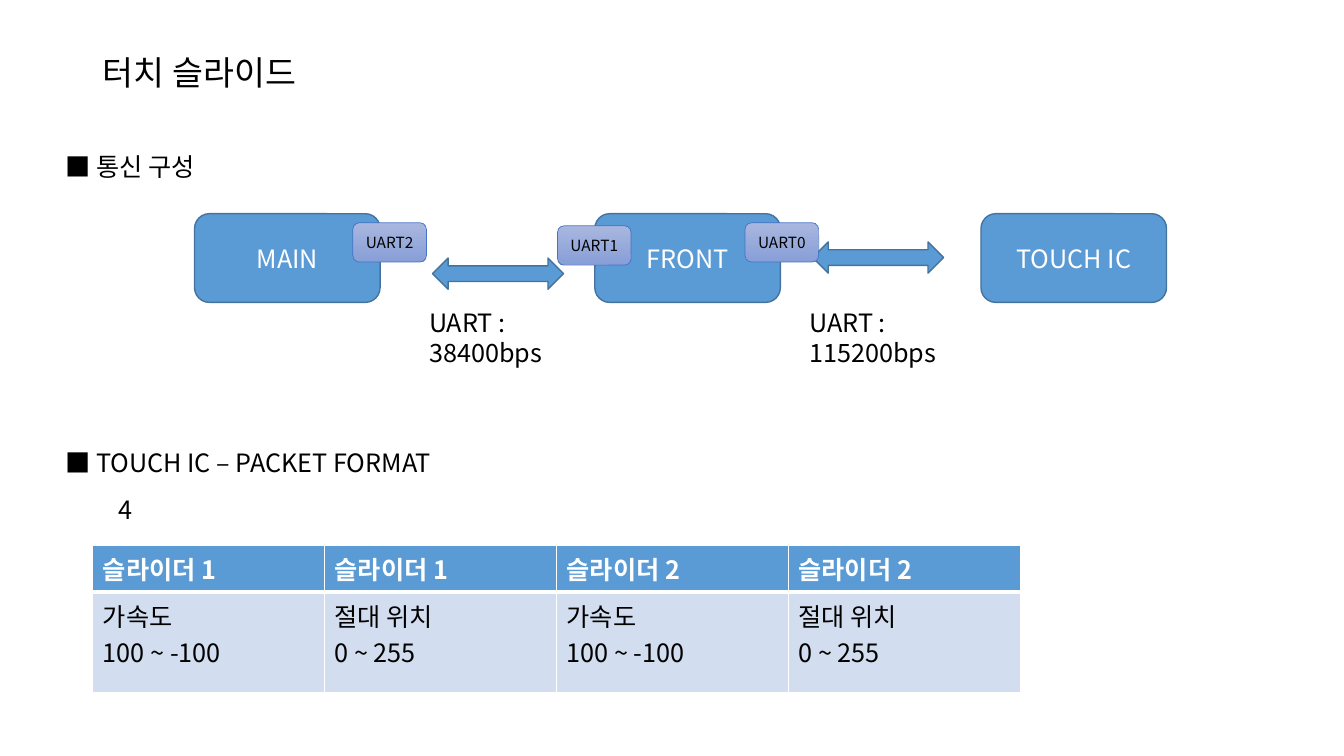
from dataclasses import dataclass

import pptx
import pptx.dml.color
import pptx.enum.shapes
import pptx.enum.text
import pptx.oxml
import pptx.oxml.ns
import pptx.util
from pptx.util import Inches

RGBColor = pptx.dml.color.RGBColor
MSO_SHAPE = pptx.enum.shapes.MSO_SHAPE
PP_ALIGN = pptx.enum.text.PP_ALIGN
MSO_ANCHOR = pptx.enum.text.MSO_ANCHOR

FONT = "Noto Sans CJK KR"
BLACK = RGBColor(0x00, 0x00, 0x00)
WHITE = RGBColor(0xFF, 0xFF, 0xFF)
BLUE = RGBColor(0x5B, 0x9B, 0xD5)
DARK_BLUE = RGBColor(0x43, 0x73, 0x9E)
BADGE_TOP = RGBColor(0xA8, 0xB7, 0xDF)
BADGE_BOTTOM = RGBColor(0x88, 0x9E, 0xD7)
BADGE_LINE = RGBColor(0x44, 0x72, 0xC4)
PALE_BLUE = RGBColor(0xD2, 0xDE, 0xEF)


@dataclass
class Label:
    text: str
    left: float
    top: float
    width: float = 4.34
    height: float = 0.4


@dataclass
class Device:
    name: str
    left: float


@dataclass
class Link:
    left: float
    top: float


@dataclass
class Port:
    name: str
    left: float
    top: float


@dataclass
class Field:
    slider: str
    meaning: str
    value_range: str


DEVICES = [Device("MAIN", 1.93), Device("FRONT", 5.9), Device("TOUCH IC", 9.73)]
LINKS = [Link(4.29, 2.56), Link(8.06, 2.4)]
PORTS = [Port("UART1", 5.53, 2.24), Port("UART0", 7.39, 2.21), Port("UART2", 3.5, 2.21)]
LABELS = [
    Label("UART : 38400bps", 4.16, 3, 1.74, 0.71),
    Label("UART : 115200bps", 7.93, 3, 1.74, 0.71),
    Label("■ TOUCH IC – PACKET FORMAT", 0.55, 4.39),
    Label("■ 통신 구성", 0.55, 1.45),
    Label("4", 1.08, 4.86),
]
FIELDS = [
    Field(f"슬라이더 {number}", meaning, value_range)
    for number in (1, 2)
    for meaning, value_range in (("가속도", "100 ~ -100"), ("절대 위치", "0 ~ 255"))
]


def write(tf: pptx.text.text.TextFrame, text: str, size: float = 18,
          color: RGBColor = BLACK, align: PP_ALIGN = PP_ALIGN.LEFT, bold: bool = False) -> None:
    tf.text = text
    tf.word_wrap = True
    for p in tf.paragraphs:
        p.alignment = align
        font = p.font
        font.size = pptx.util.Pt(size)
        font.bold = bold
        font.color.rgb = color
        font.name = FONT
        ea = pptx.oxml.ns.qn("a:ea")
        p._p.pPr.find(pptx.oxml.ns.qn("a:defRPr")).makeelement(ea)
        font._element.append(font._element.makeelement(ea, {"typeface": FONT}))


def add_block(s: pptx.slide.Slide, kind: MSO_SHAPE, left: float, top: float, width: float,
              height: float, line: RGBColor = DARK_BLUE,
              line_width: float = 1) -> pptx.shapes.autoshape.Shape:
    sp = s.shapes.add_shape(kind, Inches(left), Inches(top), Inches(width), Inches(height))
    sp.shadow.inherit = False
    sp.fill.solid()
    sp.fill.fore_color.rgb = BLUE
    sp.line.color.rgb = line
    sp.line.width = pptx.util.Pt(line_width)
    sp.text_frame.vertical_anchor = MSO_ANCHOR.MIDDLE
    return sp


def add_device(s: pptx.slide.Slide, device: Device) -> None:
    sp = add_block(s, MSO_SHAPE.ROUNDED_RECTANGLE, device.left, 2.12, 1.84, 0.88)
    write(sp.text_frame, device.name, color=WHITE, align=PP_ALIGN.CENTER)


def add_port(s: pptx.slide.Slide, port: Port) -> None:
    sp = add_block(s, MSO_SHAPE.ROUNDED_RECTANGLE, port.left, port.top, 0.73, 0.39,
                   BADGE_LINE, 0.5)
    sp.fill.gradient()
    sp.fill.gradient_angle = 270
    for stop, color in zip(sp.fill.gradient_stops, (BADGE_TOP, BADGE_BOTTOM)):
        stop.color.rgb = color
    write(sp.text_frame, port.name, size=11, align=PP_ALIGN.CENTER)


def add_label(s: pptx.slide.Slide, label: Label) -> None:
    sp = s.shapes.add_textbox(Inches(label.left), Inches(label.top),
                              Inches(label.width), Inches(label.height))
    write(sp.text_frame, label.text)


def format_cell(cell: pptx.table._Cell, text: str, fill: RGBColor, color: RGBColor,
                header: bool) -> None:
    write(cell.text_frame, text, color=color, bold=header)
    tcPr = cell._tc.get_or_add_tcPr()
    ns = pptx.oxml.ns.nsdecls("a")
    for side in ("lnL", "lnR", "lnT", "lnB"):
        heavy = side == ("lnB" if header else "lnT")
        width = pptx.util.Pt(3 if heavy else 1)
        tcPr.append(pptx.oxml.parse_xml(
            f'<a:{side} {ns} w="{width}"><a:solidFill><a:srgbClr val="{WHITE}"/>'
            f'</a:solidFill></a:{side}>'))
    cell.fill.solid()
    cell.fill.fore_color.rgb = fill


def add_packet_table(s: pptx.slide.Slide) -> None:
    table = s.shapes.add_table(2, len(FIELDS), Inches(0.92), Inches(5.41),
                               Inches(9.2), Inches(1.41)).table
    table.rows[0].height = Inches(0.41)
    table.rows[1].height = Inches(1)
    for col, field in enumerate(FIELDS):
        format_cell(table.cell(0, col), field.slider, BLUE, WHITE, True)
        format_cell(table.cell(1, col), f"{field.meaning}\n{field.value_range}",
                    PALE_BLUE, BLACK, False)


def add_title(s: pptx.slide.Slide, text: str) -> None:
    title = s.shapes.title
    title.left, title.top = Inches(0.92), Inches(0.4)
    title.width, title.height = Inches(11.5), Inches(0.69)
    tf = title.text_frame
    write(tf, text, size=24)
    tf.auto_size = pptx.enum.text.MSO_AUTO_SIZE.NONE
    tf.vertical_anchor = MSO_ANCHOR.MIDDLE
    tf.paragraphs[0].line_spacing = 0.9


def main() -> None:
    prs = pptx.Presentation()
    prs.slide_width, prs.slide_height = Inches(13.33), Inches(7.5)
    s = prs.slides.add_slide(prs.slide_layouts[5])
    add_title(s, "터치 슬라이드")
    for device in DEVICES:
        add_device(s, device)
    for link in LINKS:
        add_block(s, MSO_SHAPE.LEFT_RIGHT_ARROW, link.left, link.top, 1.3, 0.31)
    for port in PORTS:
        add_port(s, port)
    add_packet_table(s)
    for label in LABELS:
        add_label(s, label)
    prs.save("out.pptx")


if __name__ == "__main__":
    main()
